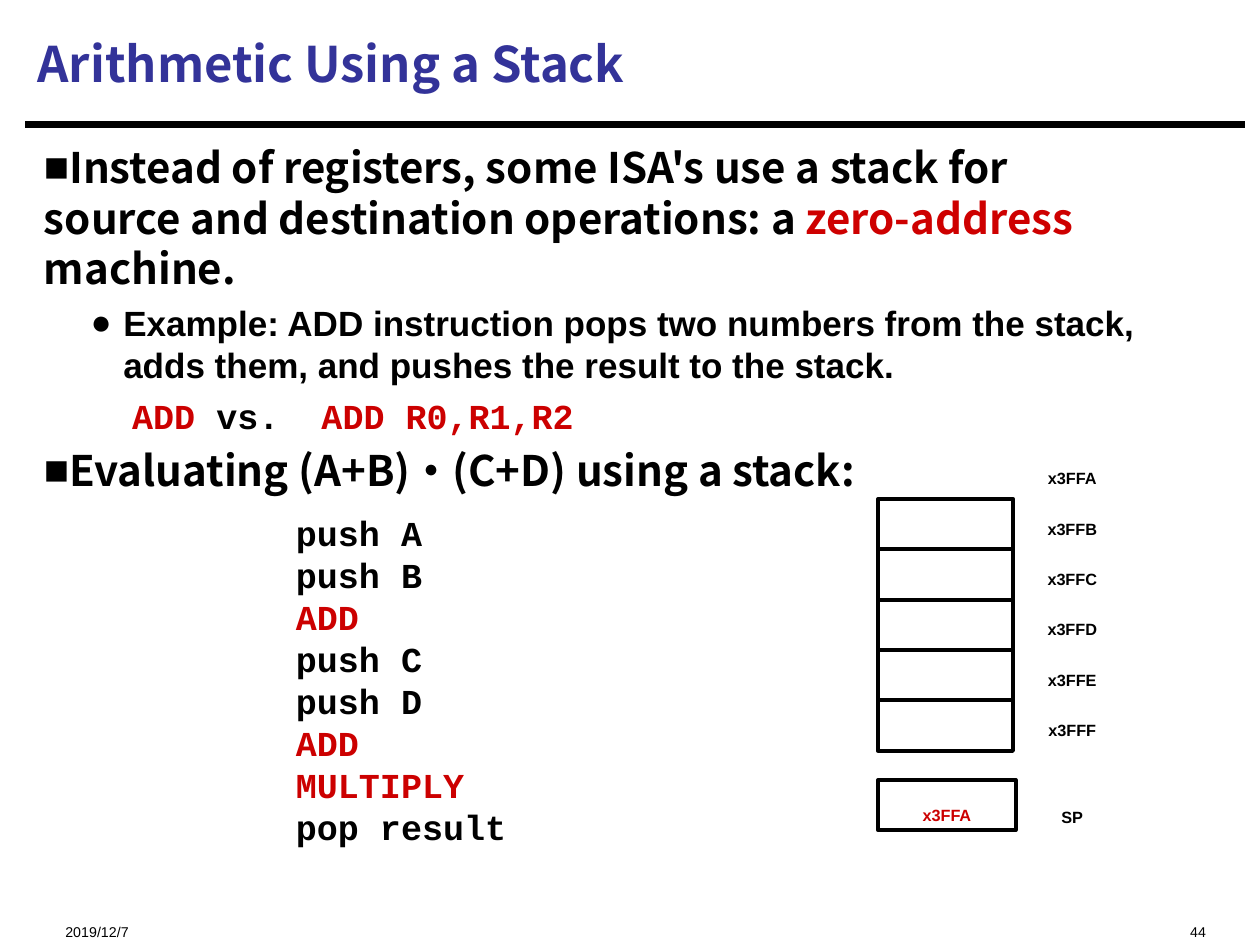
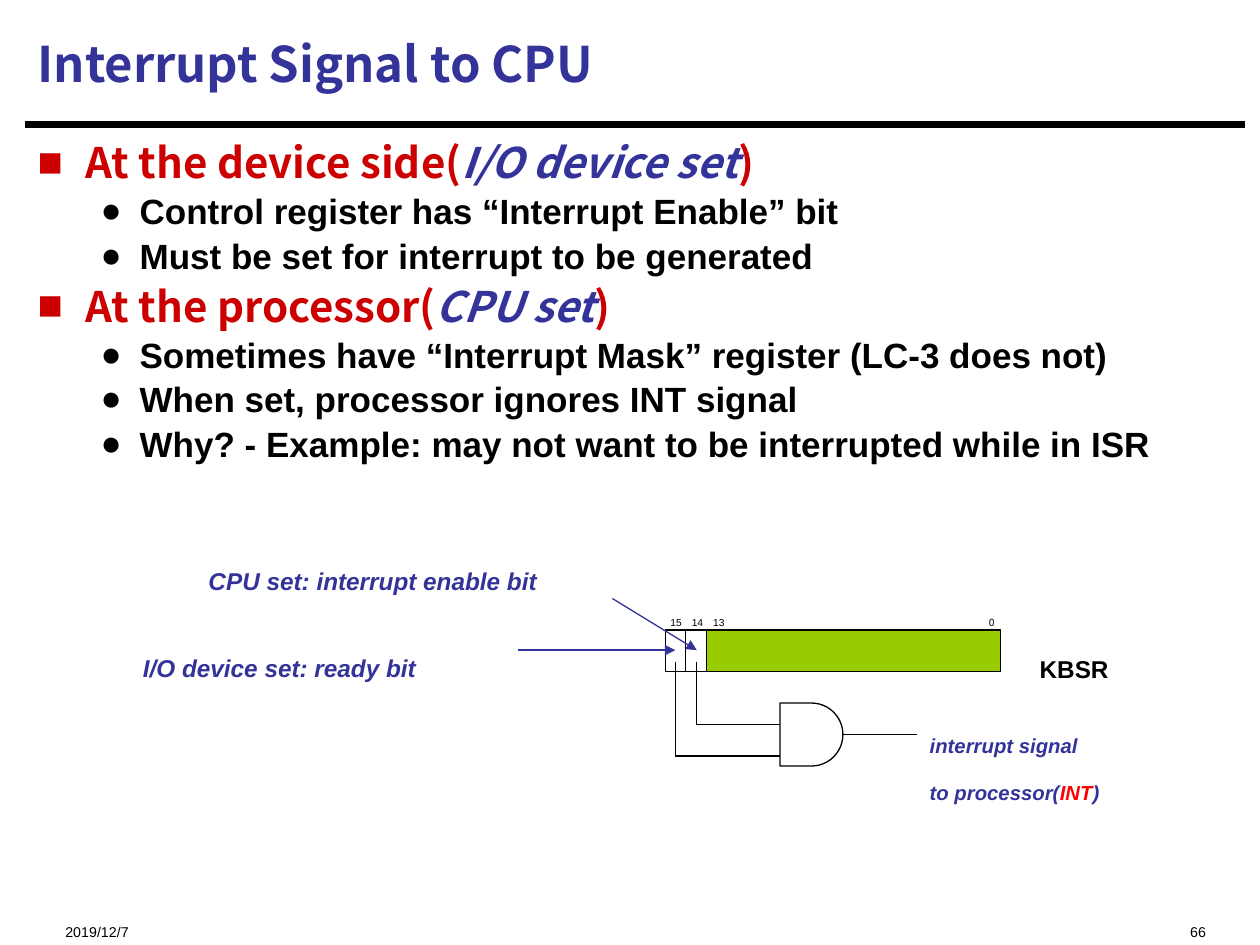
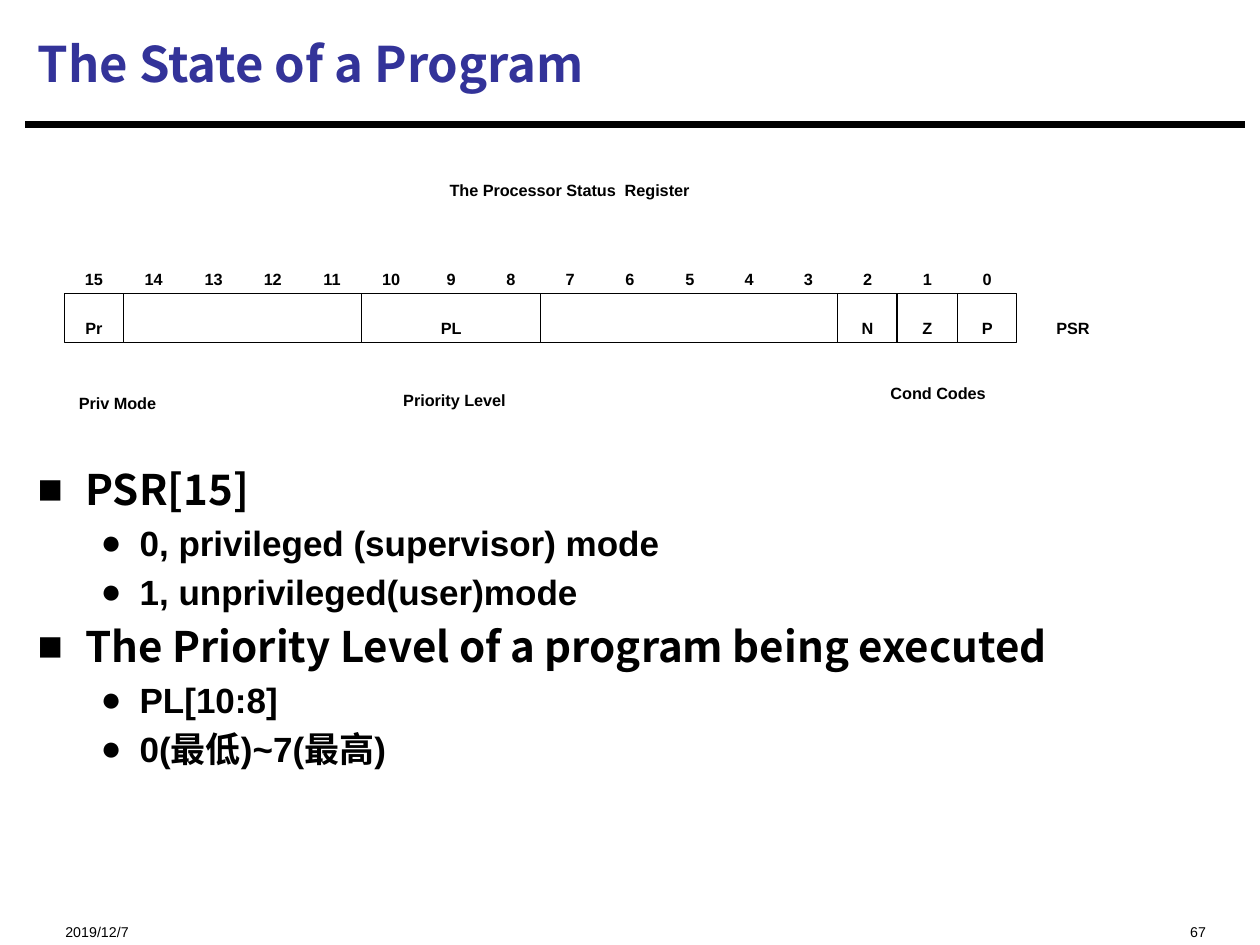
from dataclasses import dataclass, replace

from lxml.etree import SubElement
from pptx import Presentation
from pptx.dml.color import RGBColor
from pptx.enum.shapes import MSO_CONNECTOR, MSO_SHAPE as Shp
from pptx.enum.text import MSO_ANCHOR, PP_ALIGN as Al
from pptx.oxml.ns import qn
from pptx.util import Pt

# Shared scale, colours and fonts
PX = 9144  # one px is a hundredth of an inch
BLACK, WHITE, NAVY = "000000", "FFFFFF", "333399"
RED, BRIGHT_RED, CRIMSON, GREEN = "CC0000", "FF0000", "CE0000", "99CC00"
SANS, MONO, HEAD_FONT = "Arial", "Courier New", "Noto Sans CJK SC"
DATE = "2019/12/7"


@dataclass(frozen=True)
class Style:
    size: int
    font: str = SANS
    color: str = BLACK
    bold: bool = True
    italic: bool = False
    lowered: bool = False


@dataclass(frozen=True)
class Run:
    text: str
    style: Style


@dataclass(frozen=True)
class Para:
    runs: list[Run]
    level: int = 0
    margin: int = 0
    indent: int = 0
    bullet: str = ""
    line: float = 0
    before: float = 0
    align: Al = Al.LEFT


@dataclass(frozen=True)
class Box:
    x: int
    y: int
    w: int
    h: int


@dataclass(frozen=True)
class Label:
    text: str
    box: Box
    style: Style
    wrap: bool = False


@dataclass(frozen=True)
class Wire:
    x1: int
    y1: int
    x2: int
    y2: int
    color: str = BLACK
    arrow: bool = False


TITLE = Style(28, HEAD_FONT, NAVY)
HEAD = Style(24, HEAD_FONT)
ITEM = Style(20)
CODE = Style(20, MONO)
RED_CODE = replace(CODE, color=RED)
TAG = Style(16, lowered=True)
FOOT = Style(14, bold=False, lowered=True)
BIT = Style(10, bold=False, lowered=True)
NOTE = Style(24, color=NAVY, italic=True, lowered=True)


# Drawing helpers
def rgb(color: str) -> RGBColor:
    return RGBColor.from_string(color)


def emu(*lengths: int) -> list[int]:
    return [n * PX for n in lengths]


def add_run(p, run: Run) -> None:
    style = run.style
    for i, piece in enumerate(run.text.split("\n")):
        if i:
            p.add_line_break()
        if not piece:
            continue
        r = p.add_run()
        r.text = piece
        r.font.size = Pt(style.size)
        r.font.bold = style.bold
        r.font.italic = style.italic
        r.font.name = style.font
        r.font.color.rgb = rgb(style.color)
        rpr = r._r.get_or_add_rPr()
        SubElement(rpr, qn("a:ea")).set("typeface", HEAD_FONT)
        if style.lowered:
            rpr.set("baseline", "-25000")


def write(tf, paras: list[Para], wrap: bool = True,
          anchor: MSO_ANCHOR = MSO_ANCHOR.TOP) -> None:
    tf.word_wrap = wrap
    tf.vertical_anchor = anchor
    for i, para in enumerate(paras):
        p = tf.add_paragraph() if i else tf.paragraphs[0]
        p.alignment = para.align
        p.level = para.level
        if para.line:
            p.line_spacing = Pt(para.line)
            p.space_before = Pt(para.before)
        ppr = p._p.get_or_add_pPr()
        ppr.set("marL", str(para.margin * PX))
        ppr.set("indent", str(para.indent * PX))
        if para.bullet:
            clr = SubElement(ppr, qn("a:buClr"))
            SubElement(clr, qn("a:srgbClr")).set("val", para.runs[0].style.color)
            SubElement(ppr, qn("a:buFont")).set("typeface", SANS)
            SubElement(ppr, qn("a:buChar")).set("char", para.bullet)
        for run in para.runs:
            add_run(p, run)


def add_text(s, box: Box, paras: list[Para], wrap: bool = True,
             anchor: MSO_ANCHOR = MSO_ANCHOR.TOP) -> None:
    tb = s.shapes.add_textbox(*emu(box.x, box.y, box.w, box.h))
    write(tb.text_frame, paras, wrap, anchor)


def centred(text: str, style: Style) -> list[Para]:
    return [Para([Run(text, style)], align=Al.CENTER)]


def add_label(s, label: Label) -> None:
    add_text(s, label.box, centred(label.text, label.style), label.wrap)


def add_shape(s, box: Box, fill: str = "", line: str = BLACK, weight: float = 0.75,
              text: str = "", style: Style = TAG, kind: Shp = Shp.RECTANGLE):
    sp = s.shapes.add_shape(kind, *emu(box.x, box.y, box.w, box.h))
    sp.shadow.inherit = False
    if fill:
        sp.fill.solid()
        sp.fill.fore_color.rgb = rgb(fill)
    else:
        sp.fill.background()
    sp.line.color.rgb = rgb(line)
    sp.line.width = Pt(weight)
    if text:
        write(sp.text_frame, centred(text, style))
    return sp


def add_wire(s, wire: Wire, weight: float = 0.75):
    cx = s.shapes.add_connector(MSO_CONNECTOR.STRAIGHT,
                                *emu(wire.x1, wire.y1, wire.x2, wire.y2))
    cx.line.color.rgb = rgb(wire.color)
    cx.line.width = Pt(weight)
    if wire.arrow:
        SubElement(cx.line._get_or_add_ln(), qn("a:tailEnd")).set("type", "triangle")
    SubElement(cx._element.spPr, qn("a:effectLst"))
    return cx


def head(runs: list[Run], line: float = 29, hang: int = 38) -> Para:
    return Para(runs, 0, hang, -hang, "■", line, 4.8)


def item(text: str, line: float = 23.2, margin: int = 81, hang: int = 31) -> Para:
    return Para([Run(text, ITEM)], 1, margin, -hang, "●", line, 4.8)


def new_slide(prs, title: str, number: int):
    s = prs.slides.add_slide(prs.slide_layouts[6])
    add_wire(s, Wire(20, 99, 988, 99), 3.75)
    add_text(s, Box(20, 8, 967, 84), [Para([Run(title, TITLE)])],
             anchor=MSO_ANCHOR.MIDDLE)
    add_text(s, Box(42, 715, 250, 27), [Para([Run(DATE, FOOT)])])
    add_text(s, Box(667, 715, 300, 27),
             [Para([Run(str(number), FOOT)], align=Al.RIGHT)])
    return s


# Stack arithmetic
def stack_slide(prs) -> None:
    s = new_slide(prs, "Arithmetic Using a Stack", 44)
    add_text(s, Box(25, 107, 975, 591), [
        head([Run("Instead of registers, some ISA's use a stack for\n"
                  "source and destination operations: a ", HEAD),
              Run("zero-address", replace(HEAD, color=CRIMSON)),
              Run(" machine.", HEAD)], hang=0),
        item("Example: ADD instruction pops two numbers from the stack,\n"
             "adds them, and pushes the result to the stack.", 24, 63, 26),
        Para([Run("ADD ", RED_CODE), Run("vs.  ", CODE),
              Run("ADD R0,R1,R2", RED_CODE)], 1, 70, line=24, before=4.8),
        head([Run("Evaluating (A+B)·(C+D) using a stack:", HEAD)], hang=0),
        Para([Run("push A\npush B\n", CODE), Run("ADD\n", RED_CODE),
              Run("push C\npush D\n", CODE), Run("ADD\nMULTIPLY\n", RED_CODE),
              Run("pop result", CODE)], margin=200, line=24, before=9),
    ])

    # Memory cells, their addresses and the stack pointer
    cell_h, top = 40, 396
    for i in range(5):
        add_shape(s, Box(697, top + i * cell_h, 107, cell_h), weight=2.25)
    for i, letter in enumerate("ABCDEF"):
        add_label(s, Label(f"x3FF{letter}", Box(804, 352 + i * cell_h, 94, 37), TAG, True))
    add_shape(s, Box(697, 619, 109, cell_h), weight=2.25, text="x3FFA",
              style=replace(TAG, color=RED))
    add_label(s, Label("SP", Box(804, 621, 94, 37), TAG, True))


# Interrupt signal
def interrupt_slide(prs) -> None:
    s = new_slide(prs, "Interrupt Signal to CPU", 66)
    red_head = replace(HEAD, color=RED)
    setter = replace(HEAD, color=NAVY, italic=True)
    groups = [
        ("At the device side(", "I/O device set",
         ["Control register has “Interrupt Enable” bit",
          "Must be set for interrupt to be generated"]),
        ("At the processor(", "CPU set",
         ["Sometimes have “Interrupt Mask” register (LC-3 does not)",
          "When set, processor ignores INT signal",
          "Why? - Example: may not want to be interrupted while in ISR"]),
    ]
    paras = []
    for place, who, points in groups:
        paras.append(head([Run(place, red_head), Run(who, setter),
                           Run(")", red_head)], 26.4))
        paras += [item(point, 20.6) for point in points]
    add_text(s, Box(20, 107, 967, 599), paras)

    # Status register
    for x, w, fill in [(528, 17, WHITE), (544, 17, WHITE), (561, 233, GREEN)]:
        add_shape(s, Box(x, 500, w, 33), fill)
    for label in [
        Label("15", Box(519, 475, 35, 27), BIT),
        Label("14", Box(536, 475, 35, 27), BIT),
        Label("13", Box(553, 475, 35, 27), BIT),
        Label("0", Box(773, 475, 28, 27), replace(BIT, font="Roboto")),
        Label("KBSR", Box(795, 492, 115, 50), Style(24, lowered=True)),
        Label("I/O device set: ready bit", Box(23, 491, 398, 50), NOTE),
        Label("CPU set: interrupt enable bit", Box(59, 422, 474, 51), NOTE),
    ]:
        add_label(s, label)

    # Gate and wiring
    for wire in [
        Wire(411, 516, 536, 516, NAVY, True),
        Wire(486, 475, 553, 516, NAVY, True),
        Wire(553, 525, 553, 575),
        Wire(553, 575, 619, 575),
        Wire(536, 525, 536, 600),
        Wire(536, 600, 619, 600),
    ]:
        add_wire(s, wire)
    gate = add_shape(s, Box(619, 558, 50, 50), kind=Shp.FLOWCHART_DELAY)
    output = add_wire(s, Wire(669, 583, 728, 583))
    output.begin_connect(gate, 3)
    signal = replace(NOTE, size=20)
    add_text(s, Box(728, 558, 262, 77), [
        Para([Run("interrupt signal\nto processor(", signal),
              Run("INT", replace(signal, color=BRIGHT_RED)), Run(")", signal)])])


# Processor status register
def state_slide(prs) -> None:
    s = new_slide(prs, "The State of a Program", 67)
    left, pitch, row_h = 51, 47.25, 39

    def bit_box(high: int, low: int, y: int) -> Box:
        x = round(left + (15 - high) * pitch)
        return Box(x, y, round(left + (16 - low) * pitch) - x, row_h)

    for bit in range(15, -1, -1):
        add_shape(s, bit_box(bit, bit, 194), WHITE, WHITE, text=str(bit))
    for high, low, name in [(15, 15, "Pr"), (14, 11, ""), (10, 8, "PL"), (7, 3, ""),
                            (2, 2, "N"), (1, 1, "Z"), (0, 0, "P")]:
        add_shape(s, bit_box(high, low, 233), WHITE, text=name)
    for text, x, y, w in [("PSR", 817, 233, 69), ("Cond Codes", 662, 284, 165),
                          ("Priority Level ", 264, 290, 197),
                          ("The Processor Status  Register", 262, 123, 380),
                          ("Priv Mode ", 20, 292, 150)]:
        add_shape(s, Box(x, y, w, row_h), WHITE, WHITE, text=text)

    add_text(s, Box(20, 363, 947, 344), [
        head([Run("PSR[15]", HEAD)]),
        item("0, privileged (supervisor) mode"),
        item("1, unprivileged(user)mode"),
        head([Run("The Priority Level of a program being executed", HEAD)]),
        item("PL[10:8]"),
        item("0(最低)~7(最高)"),
    ])


def main() -> None:
    prs = Presentation()
    prs.slide_width, prs.slide_height = emu(1000, 750)
    stack_slide(prs)
    interrupt_slide(prs)
    state_slide(prs)
    prs.save("out.pptx")


if __name__ == "__main__":
    main()
